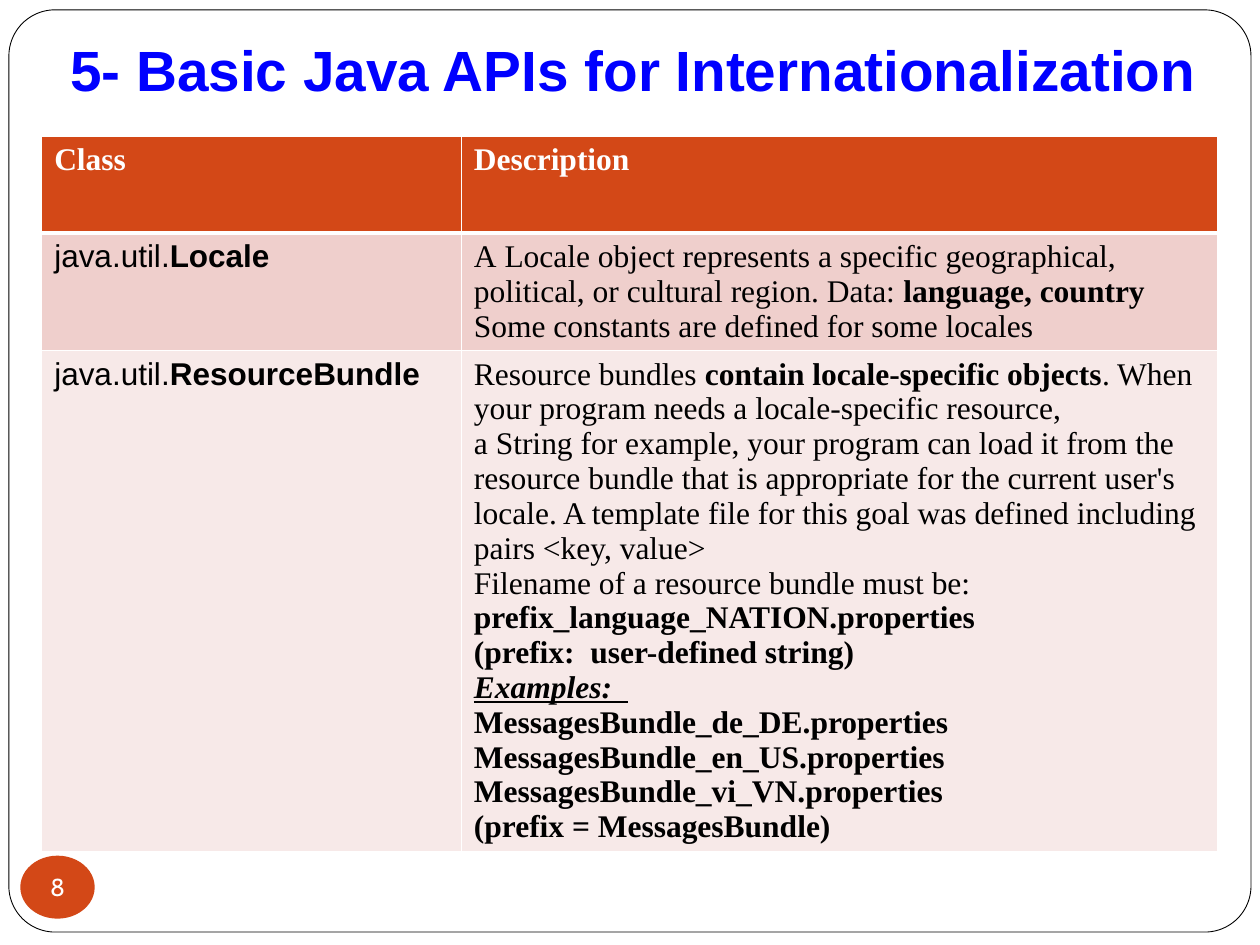
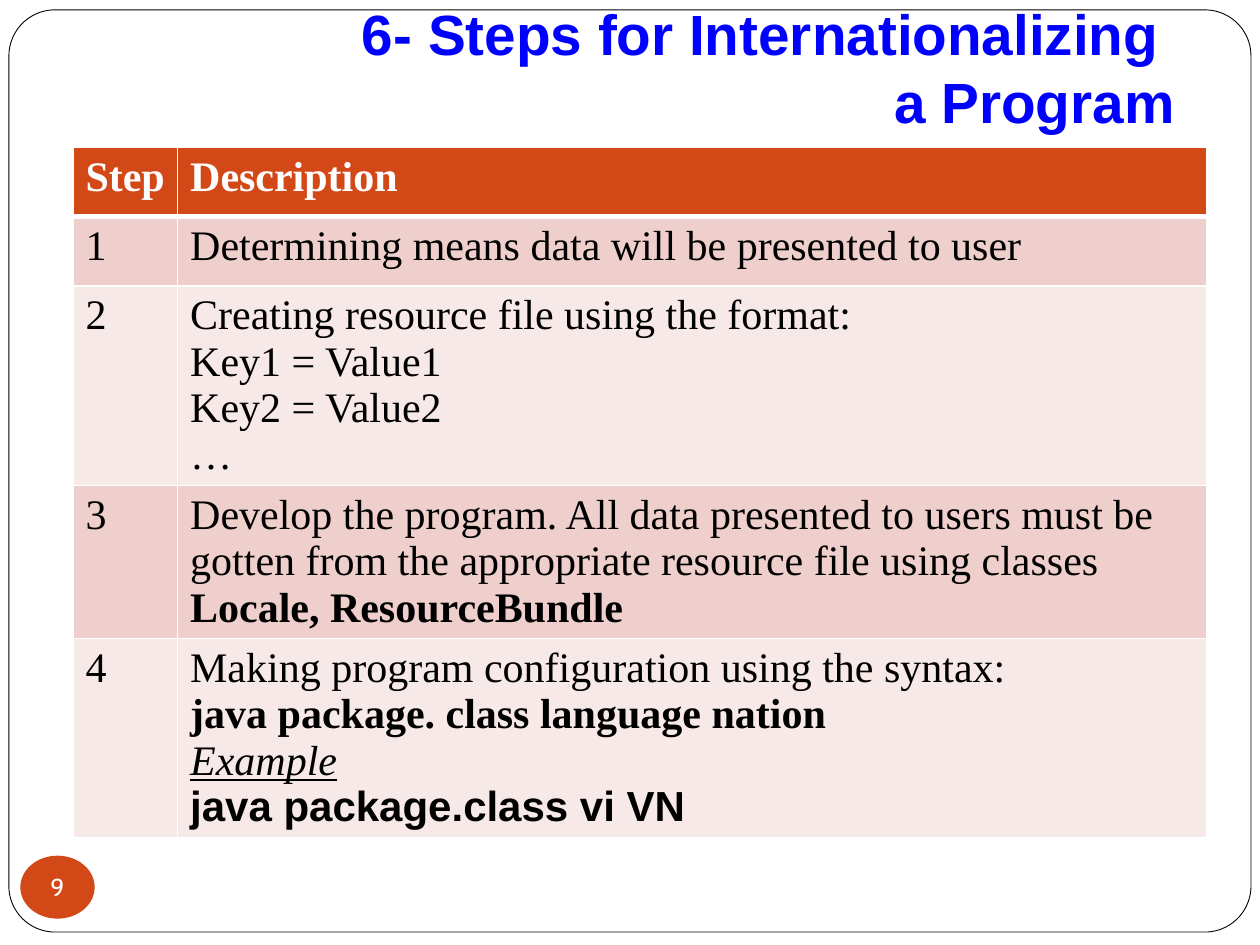
from dataclasses import dataclass

from lxml import etree
from pptx import Presentation
from pptx.dml.color import RGBColor
from pptx.enum.shapes import MSO_SHAPE
from pptx.enum.text import MSO_ANCHOR, PP_ALIGN
from pptx.oxml.ns import qn
from pptx.util import Cm, Pt

ROUNDED = MSO_SHAPE.ROUNDED_RECTANGLE
OVAL = MSO_SHAPE.OVAL
MIDDLE, BOTTOM = MSO_ANCHOR.MIDDLE, MSO_ANCHOR.BOTTOM
LEFT, CENTER, RIGHT = PP_ALIGN.LEFT, PP_ALIGN.CENTER, PP_ALIGN.RIGHT
BLANK_LAYOUT = 6


@dataclass(frozen=True)
class Theme:
    """Colours, fonts and type sizes of the deck."""
    paper: str = "FFFFFF"
    ink: str = "000000"
    title: str = "0000FF"
    accent: str = "D34817"
    bands: tuple = ("EFCFCC", "F7E9E8")
    sans: str = "Arial"
    serif: str = "Times New Roman"
    badge_font: str = "Cabin"
    title_size: float = 32.4
    badge_size: float = 14
    frame_line: float = 0.5
    rule: float = 1
    header_rule: float = 3


def write(paragraph, text, font, size, color, bold=False, italic=False,
          underline=False, align=LEFT, leading=None):
    """Add formatted text to a paragraph; a newline becomes a line break."""
    paragraph.alignment = align
    if leading:
        paragraph.line_spacing = Pt(leading)
    for index, line in enumerate(text.split("\n")):
        if index:
            paragraph.add_line_break()
        run = paragraph.add_run()
        run.text = line
        style = run.font
        style.name, style.size = font, Pt(size)
        style.bold, style.italic, style.underline = bold, italic, underline
        style.color.rgb = RGBColor.from_string(color)


def set_margins(frame, left, top, right, bottom):
    """Set the inner margins of a text frame in centimetres."""
    frame.margin_left, frame.margin_top = Cm(left), Cm(top)
    frame.margin_right, frame.margin_bottom = Cm(right), Cm(bottom)


def draw_borders(cell, color, **widths):
    """Draw cell borders; widths in points are keyed by side: L, R, T, B."""
    properties = cell._tc.get_or_add_tcPr()
    for side, width in widths.items():
        line = etree.SubElement(properties, qn(f"a:ln{side}"), w=str(Pt(width)))
        fill = etree.SubElement(line, qn("a:solidFill"))
        etree.SubElement(fill, qn("a:srgbClr"), val=color)


class Deck:
    """Holds the theme, the presentation and the current slide."""

    def __init__(self, theme):
        """Start an empty 4:3 presentation."""
        self.theme = theme
        self.presentation = Presentation()
        self.presentation.slide_width = Cm(25.4)
        self.presentation.slide_height = Cm(19.05)
        self.slide = None

    def add_slide(self, title, title_box):
        """Start a slide with its frame and title."""
        layout = self.presentation.slide_layouts[BLANK_LAYOUT]
        self.slide = self.presentation.slides.add_slide(layout)
        self.frame()
        self.title(title, title_box)

    def shape(self, kind, box, fill):
        """Add a flat filled shape without an outline."""
        shape = self.slide.shapes.add_shape(kind, *map(Cm, box))
        shape.shadow.inherit = False
        shape.fill.solid()
        shape.fill.fore_color.rgb = RGBColor.from_string(fill)
        shape.line.fill.background()
        return shape

    def frame(self):
        """Draw the rounded frame around the slide."""
        frame = self.shape(ROUNDED, (0.18, 0.2, 25.04, 18.59), self.theme.paper)
        frame.adjustments[0] = 0.05
        frame.line.color.rgb = RGBColor.from_string(self.theme.ink)
        frame.line.width = Pt(self.theme.frame_line)

    def title(self, text, box):
        """Write the right-aligned slide title."""
        theme = self.theme
        frame = self.slide.shapes.add_textbox(*map(Cm, box)).text_frame
        frame.word_wrap = True
        frame.vertical_anchor = BOTTOM
        set_margins(frame, 0.25, 0.13, 0.25, 0.25)
        write(frame.paragraphs[0], text, theme.sans, theme.title_size,
              theme.title, bold=True, align=RIGHT)

    def badge(self, number):
        """Draw the oval with the page number in front of the content."""
        theme = self.theme
        frame = self.shape(OVAL, (0.41, 17.25, 1.5, 1.27), theme.accent).text_frame
        frame.word_wrap = False
        frame.vertical_anchor = MIDDLE
        set_margins(frame, 0, 0, 0, 0)
        write(frame.paragraphs[0], str(number), theme.badge_font,
              theme.badge_size, theme.paper, align=CENTER)

    def table(self, left, top, widths, heights, rows, size, leading):
        """Add a table with a header row and alternating bands."""
        table = self.slide.shapes.add_table(
            len(rows), len(widths), Cm(left), Cm(top),
            Cm(sum(widths)), Cm(sum(heights))).table
        for column, width in zip(table.columns, widths):
            column.width = Cm(width)
        for row, height in zip(table.rows, heights):
            row.height = Cm(height)
        for row_index, row in enumerate(rows):
            for column_index, lines in enumerate(row):
                self.cell(table.cell(row_index, column_index), row_index,
                          lines, size, leading)

    def cell(self, cell, row_index, lines, size, leading):
        """Fill one cell; each line is a list of (text, format) pieces."""
        theme = self.theme
        header = row_index == 0
        draw_borders(cell, theme.paper, L=theme.rule, R=theme.rule,
                     T=theme.header_rule if row_index == 1 else theme.rule,
                     B=theme.header_rule if header else theme.rule)
        fill = theme.accent if header else theme.bands[(row_index - 1) % 2]
        cell.fill.solid()
        cell.fill.fore_color.rgb = RGBColor.from_string(fill)
        base = {"font": theme.serif, "size": size, "bold": header,
                "color": theme.paper if header else theme.ink,
                "leading": leading}
        frame = cell.text_frame
        for index, pieces in enumerate(lines):
            paragraph = frame.add_paragraph() if index else frame.paragraphs[0]
            for text, style in pieces:
                write(paragraph, text, **{**base, **style})


def plain(*lines, **style):
    """Make cell lines that each have a single format."""
    return [[(line, style)] for line in lines]


def class_name(name):
    """Make the cell for a java.util class, its own name in bold."""
    return [[("java.util.", {"font": THEME.sans}),
             (name, {"font": THEME.sans, "bold": True})]]


THEME = Theme()
BOLD = {"bold": True}

api_rows = [
    [plain("Class"), plain("Description")],
    [class_name("Locale"),
     [[("A\u00a0Locale\u00a0object represents a specific geographical, political, "
        "or cultural region. Data: ", {}), ("language, country", BOLD)]]
     + plain("Some constants are defined for some locales ")],
    [class_name("ResourceBundle"),
     [[("Resource bundles ", {}), ("contain locale-specific objects", BOLD),
       (". When your program needs a locale-specific resource, "
        "a\u00a0String\u00a0for example, your program can load it from the resource "
        "bundle that is appropriate for the current user's locale. A template "
        "file for this goal was defined including pairs <key, value>", {})]]
     + plain("Filename of a resource bundle must be:")
     + plain("prefix_language_NATION.properties",
             "(prefix:  user-defined string)", bold=True)
     + plain("Examples:  ", bold=True, italic=True, underline=True)
     + plain(*(f"MessagesBundle_{locale}.properties"
               for locale in ("de_DE", "en_US", "vi_VN")),
             "(prefix = MessagesBundle)", bold=True)],
]

step_descriptions = [
    plain("Determining means data will be presented to user"),
    plain("Creating resource file using the format:",
          "Key1 = Value1", "Key2 = Value2", "…"),
    [[("Develop the program. All data presented to users must be gotten from "
       "the appropriate resource file using classes ", {}),
      ("Locale, ResourceBundle", BOLD)]],
    plain("Making program configuration using the syntax:")
    + plain("java package. class language nation ", bold=True)
    + plain("Example", italic=True, underline=True)
    + plain("java package.class vi VN", font=THEME.sans, bold=True),
]
step_rows = [[plain("Step"), plain("Description")]] + [
    [plain(str(step)), description]
    for step, description in enumerate(step_descriptions, 1)]

deck = Deck(THEME)
deck.add_slide("5- Basic Java APIs for Internationalization",
               (0.43, 0.43, 23.93, 1.9))
deck.table(0.84, 2.74, (8.46, 15.24), (1.96, 2.37, 10.1), api_rows,
           size=18, leading=19.9)
deck.badge(8)

deck.add_slide("6- Steps for Internationalizing \na Program",
               (2.54, 0, 21.39, 2.97))
deck.table(1.47, 2.97, (2.11, 20.75), (1.4, 1.4, 4.02, 3.08, 4.02), step_rows,
           size=24, leading=26.6)
deck.badge(9)

deck.presentation.save("out.pptx")
